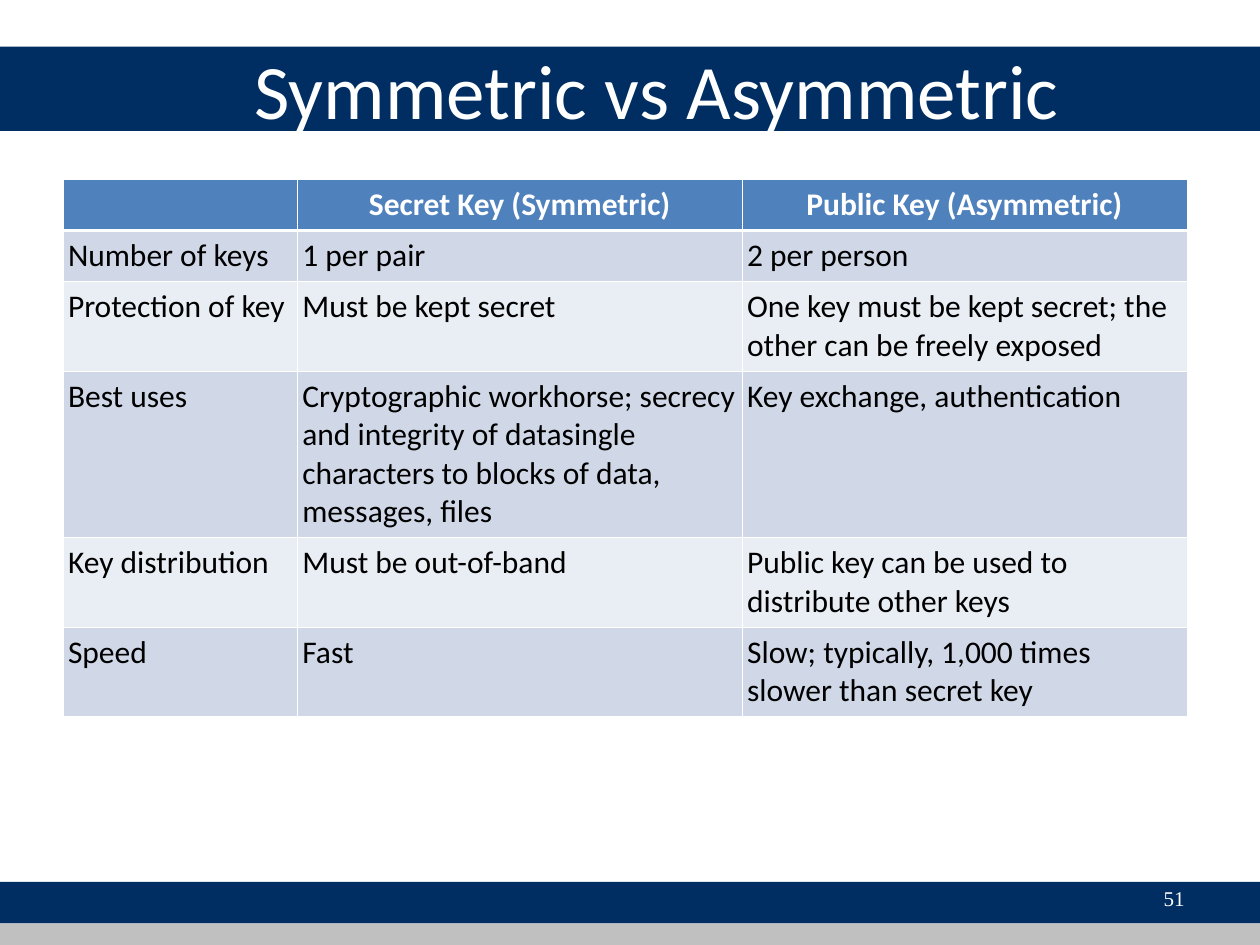
import pptx
import pptx.dml.color
import pptx.enum.shapes
import pptx.enum.text
import pptx.oxml
import pptx.oxml.ns
import pptx.util
from pptx.util import Inches

ALIGN = pptx.enum.text.PP_ALIGN
MIDDLE = pptx.enum.text.MSO_ANCHOR.MIDDLE
NAVY, GREY, WHITE, BLACK = "002E62", "C0C0C0", "FFFFFF", "000000"
HEADER, ROW_FILLS = "4F81BD", ("D0D8E8", "E9EDF4")
COLUMNS = (1.86, 3.53, 3.53)
ROW_HEIGHTS = (0.41, 0.4, 0.68, 1.28, 0.68, 0.68)
ROWS = (
    ("", "Secret Key (Symmetric)", "Public Key (Asymmetric)"),
    ("Number of keys", "1 per pair", "2 per person"),
    ("Protection of key", "Must be kept secret",
     "One key must be kept secret; the other can be freely exposed"),
    ("Best uses",
     "Cryptographic workhorse; secrecy and integrity of datasingle "
     "characters to blocks of data, messages, files",
     "Key exchange, authentication"),
    ("Key distribution", "Must be out-of-band",
     "Public key can be used to distribute other keys"),
    ("Speed", "Fast", "Slow; typically, 1,000 times slower than secret key"),
)


def rgb(value):
    """Turn a hex string into a colour."""
    return pptx.dml.color.RGBColor.from_string(value)


def set_text(tf, text, size, color, font="Calibri", bold=False, align=ALIGN.LEFT):
    """Fill a text frame with one formatted paragraph."""
    tf.word_wrap = True
    p = tf.paragraphs[0]
    p.text = text
    p.alignment = align
    for r in p.runs:
        r.font.size = pptx.util.Pt(size)
        r.font.name = font
        r.font.bold = bold
        r.font.color.rgb = rgb(color)


def add_band(s, top, height, color):
    """Draw a full-width band."""
    sp = s.shapes.add_shape(pptx.enum.shapes.MSO_SHAPE.RECTANGLE,
                            0, Inches(top), Inches(10), Inches(height))
    sp.shadow.inherit = False
    sp.fill.solid()
    sp.fill.fore_color.rgb = rgb(color)
    sp.line.fill.background()


def add_title(s, left, top, width, height):
    """Place and format the title placeholder."""
    sp = s.shapes.title
    sp.left, sp.top = Inches(left), Inches(top)
    sp.width, sp.height = Inches(width), Inches(height)
    tf = sp.text_frame
    tf.auto_size = pptx.enum.text.MSO_AUTO_SIZE.NONE
    tf.vertical_anchor = MIDDLE
    set_text(tf, "Symmetric vs Asymmetric", 44, WHITE)


def set_borders(cell, **widths):
    """Give the cell white borders of the widths in points, by side."""
    tc_pr = cell._tc.get_or_add_tcPr()
    for i, side in enumerate("LRTB"):
        width = pptx.util.Pt(widths.get(side, 0.45))
        tc_pr.insert(i, pptx.oxml.parse_xml(
            f'<a:ln{side} {pptx.oxml.ns.nsdecls("a")} w="{width}"><a:solidFill>'
            f'<a:srgbClr val="{WHITE}"/></a:solidFill></a:ln{side}>'))


def format_cell(cell, text, row):
    """Fill one table cell in the style of its row."""
    header = row == 0
    cell.margin_left = cell.margin_right = Inches(0.04)
    cell.margin_top = cell.margin_bottom = Inches(0.05)
    cell.fill.solid()
    cell.fill.fore_color.rgb = rgb(HEADER if header else ROW_FILLS[(row - 1) % 2])
    set_text(cell.text_frame, text, 18, WHITE if header else BLACK,
             bold=header, align=ALIGN.CENTER if header else ALIGN.LEFT)
    set_borders(cell, **({"B": 1.47} if header else {"T": 1.47} if row == 1 else {}))


def add_comparison(s, left, top):
    """Build the table comparing the two kinds of key."""
    table = s.shapes.add_table(len(ROWS), len(COLUMNS), Inches(left), Inches(top),
                               Inches(sum(COLUMNS)), Inches(sum(ROW_HEIGHTS))).table
    for column, width in zip(table.columns, COLUMNS):
        column.width = Inches(width)
    for i, (height, texts) in enumerate(zip(ROW_HEIGHTS, ROWS)):
        table.rows[i].height = Inches(height)
        for j, text in enumerate(texts):
            format_cell(table.cell(i, j), text, i)


def add_page_number(s, left, top, width, height):
    """Write the page number at the right of the footer."""
    tf = s.shapes.add_textbox(Inches(left), Inches(top),
                              Inches(width), Inches(height)).text_frame
    tf.vertical_anchor = MIDDLE
    set_text(tf, "51", 12, WHITE, font="Times New Roman", align=ALIGN.RIGHT)


def main():
    """Build and save the slide."""
    prs = pptx.Presentation()
    prs.slide_width, prs.slide_height = Inches(10), Inches(7.5)
    s = prs.slides.add_slide(prs.slide_layouts.get_by_name("Title Only"))
    for band in ((7, 0.33, NAVY), (0.37, 0.67, NAVY), (7.33, 0.17, GREY)):
        add_band(s, *band)
    title = s.shapes.title._element
    title.getparent().append(title)
    add_title(s, 1.92, 0.08, 7.92, 1.25)
    add_comparison(s, 0.5, 1.42)
    add_page_number(s, 7.17, 6.93, 2.33, 0.4)
    prs.save("out.pptx")


if __name__ == "__main__":
    main()
